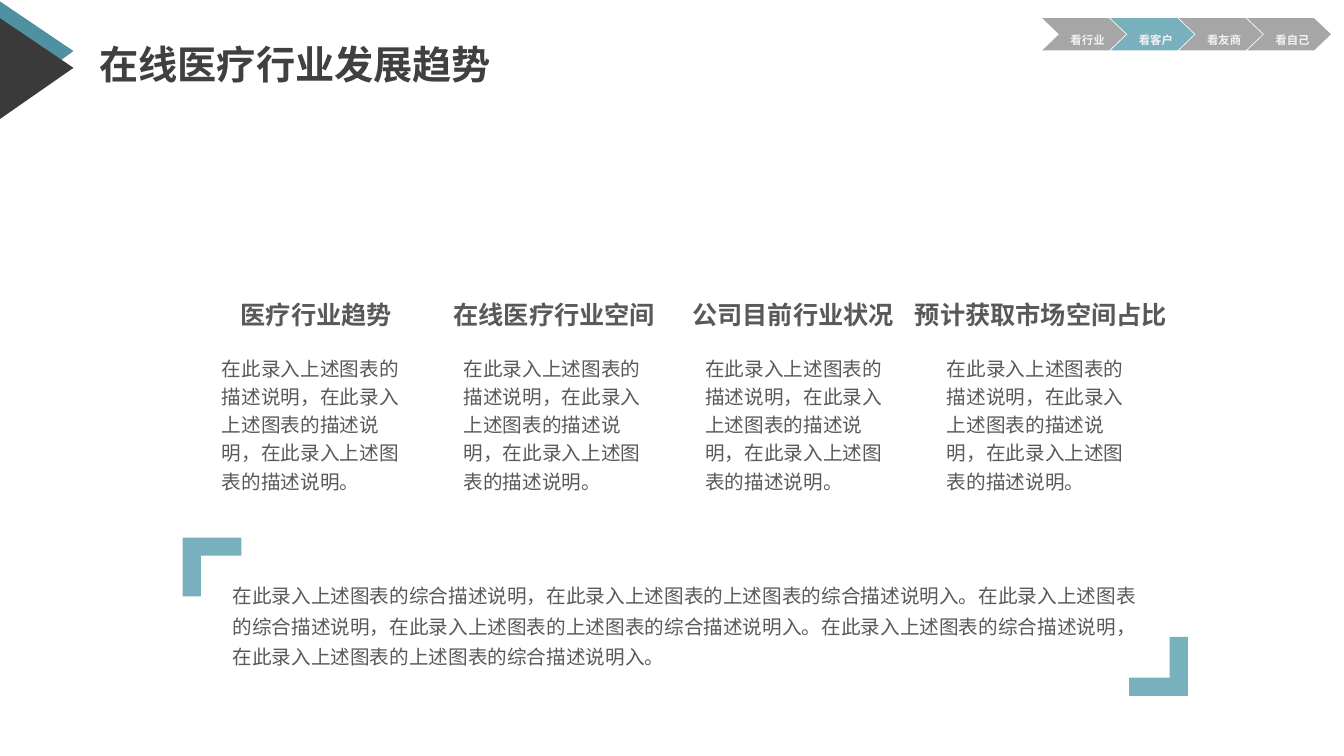
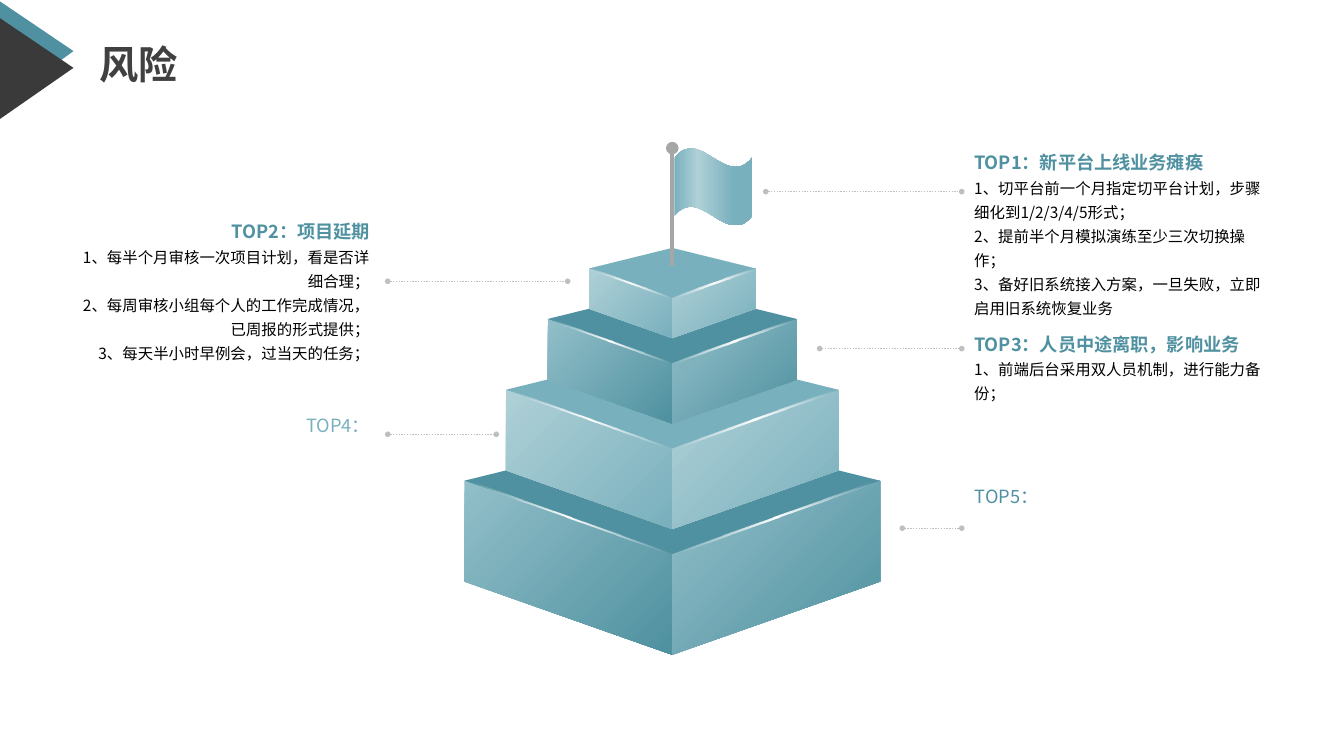
from lxml.etree import SubElement
from pptx import Presentation
from pptx.dml.color import RGBColor
from pptx.enum.dml import MSO_LINE
from pptx.enum.shapes import MSO_CONNECTOR, MSO_SHAPE
from pptx.enum.text import MSO_ANCHOR, PP_ALIGN
from pptx.oxml import parse_xml
from pptx.oxml.ns import nsdecls, qn
from pptx.util import Pt

TEAL = RGBColor(0x79, 0xB0, 0xBD)
TEAL_DARK = RGBColor(0x4F, 0x91, 0xA0)
TEAL_PALE = RGBColor(0xAF, 0xD0, 0xD7)
TEAL_SOFT = RGBColor(0x92, 0xBF, 0xC9)
CHARCOAL = RGBColor(0x3A, 0x3A, 0x3A)
TITLE_GRAY = RGBColor(0x40, 0x40, 0x40)
TEXT_GRAY = RGBColor(0x59, 0x59, 0x59)
GRAY = RGBColor(0xA6, 0xA6, 0xA6)
LEADER_GRAY = RGBColor(0xBF, 0xBF, 0xBF)
NEAR_WHITE = RGBColor(0xF2, 0xF2, 0xF2)
WHITE = RGBColor(0xFF, 0xFF, 0xFF)
BLACK = RGBColor(0, 0, 0)

BODY_FONT = "Noto Sans CJK SC"
TITLE_FONT = "Roboto"
NAV_FONT = "Arial"

NAV_LABELS = ("看行业", "看客户", "看友商", "看自己")
# heading, centre of the heading
TREND_COLUMNS = (
    ("医疗行业趋势", 226),
    ("在线医疗行业空间", 396),
    ("公司目前行业状况", 566.5),
    ("预计获取市场空间占比", 743.5),
)
TREND_BODY = "在此录入上述图表的描述说明，在此录入上述图表的描述说明，在此录入上述图表的描述说明。"
SUMMARY = (
    "在此录入上述图表的综合描述说明，在此录入上述图表的上述图表的综合描述说明入。"
    "在此录入上述图表的综合描述说明，在此录入上述图表的上述图表的综合描述说明入。"
    "在此录入上述图表的综合描述说明，在此录入上述图表的上述图表的综合描述说明入。"
)
# left, top, height, alignment, heading, heading colour, actions
RISKS = (
    (686.5, 98.6, 115, PP_ALIGN.LEFT, "TOP1：新平台上线业务瘫痪", TEAL_DARK,
     ("1、切平台前一个月指定切平台计划，步骤细化到1/2/3/4/5形式；",
      "2、提前半个月模拟演练至少三次切换操作；",
      "3、备好旧系统接入方案，一旦失败，立即启用旧系统恢复业务")),
    (46, 148, 115, PP_ALIGN.RIGHT, "TOP2：项目延期", TEAL_DARK,
     ("1、每半个月审核一次项目计划，看是否详细合理；",
      "2、每周审核小组每个人的工作完成情况，已周报的形式提供；",
      "3、每天半小时早例会，过当天的任务；")),
    (686.5, 228.2, 63, PP_ALIGN.LEFT, "TOP3：人员中途离职，影响业务", TEAL_DARK,
     ("1、前端后台采用双人员机制，进行能力备份；",)),
    (46, 286, 28, PP_ALIGN.RIGHT, "TOP4：", TEAL, ()),
    (687, 337, 28, PP_ALIGN.LEFT, "TOP5：", TEAL_DARK, ()),
)
# start, end, height on the slide
LEADERS = (
    (277, 405.5, 200.9),
    (277, 354.5, 310.2),
    (644.5, 687, 377.3),
    (585.5, 687, 249),
    (547, 687, 136.9),
)


def style_shape(shape, color):
    shape.shadow.inherit = False
    shape.line.fill.background()
    shape.fill.solid()
    shape.fill.fore_color.rgb = color
    return shape


def add_polygon(slide, points, color):
    corners = [(Pt(x), Pt(y)) for x, y in points]
    builder = slide.shapes.build_freeform(*corners[0], scale=1.0)
    builder.add_line_segments(corners[1:], close=True)
    return style_shape(builder.convert_to_shape(), color)


def fill_gradient(shape, stops, angle=None):
    """Fill with (percent, colour, opacity) stops; radial without an angle."""
    stop_xml = "".join(
        f'<a:gs pos="{position * 1000}"><a:srgbClr val="{color}">'
        f'<a:alpha val="{opacity * 1000}"/></a:srgbClr></a:gs>'
        for position, color, opacity in stops
    )
    if angle is None:
        direction = ('<a:path path="circle"><a:fillToRect l="50000" t="50000" '
                     'r="50000" b="50000"/></a:path>')
    else:
        direction = f'<a:lin ang="{angle * 60000}" scaled="0"/>'
    gradient = parse_xml(
        f'<a:gradFill {nsdecls("a")} rotWithShape="1">'
        f'<a:gsLst>{stop_xml}</a:gsLst>{direction}</a:gradFill>'
    )
    properties = shape.fill._xPr
    properties.replace(properties.find(qn("a:solidFill")), gradient)


def add_text_box(slide, left, top, width, height, align=PP_ALIGN.LEFT,
                 anchor=MSO_ANCHOR.TOP, margins=(7.2, 3.6)):
    box = slide.shapes.add_textbox(Pt(left), Pt(top), Pt(width), Pt(height))
    frame = box.text_frame
    frame.word_wrap = True
    frame.vertical_anchor = anchor
    frame.margin_left = frame.margin_right = Pt(margins[0])
    frame.margin_top = frame.margin_bottom = Pt(margins[1])
    frame.paragraphs[0].alignment = align
    return frame


def add_run(paragraph, text, size, color, spacing, bold=False, font=BODY_FONT):
    """Add a run; punctuation stays inside the margin of its paragraph."""
    paragraph.line_spacing = spacing
    paragraph._p.get_or_add_pPr().set("hangingPunct", "0")
    run = paragraph.add_run()
    run.text = text
    run.font.size = Pt(size)
    run.font.bold = bold
    run.font.name = font
    run.font.color.rgb = color
    properties = run._r.get_or_add_rPr()
    SubElement(properties, qn("a:ea")).set("typeface", BODY_FONT)
    return run


def add_line(slide, start, end, color, width, ends, end_size="med", dash=None):
    line = slide.shapes.add_connector(
        MSO_CONNECTOR.STRAIGHT, *(Pt(value) for value in (*start, *end)))
    line.line.color.rgb = color
    line.line.width = Pt(width)
    if dash is not None:
        line.line.dash_style = dash
    outline = line.line._get_or_add_ln()
    for end_name in ends:
        marker = SubElement(outline, qn(f"a:{end_name}"))
        for name, value in (("type", "oval"), ("w", end_size), ("len", end_size)):
            marker.set(name, value)
    SubElement(line._element.spPr, qn("a:effectLst"))


def add_titled_slide(presentation, title):
    slide = presentation.slides.add_slide(presentation.slide_layouts[6])
    add_polygon(slide, ((0, 1), (52.5, 36.5), (0, 75)), TEAL_DARK)
    add_polygon(slide, ((0, 13), (52.5, 48.5), (0, 85)), CHARCOAL)
    frame = add_text_box(slide, 64, 24.5, 450, 47, anchor=MSO_ANCHOR.MIDDLE)
    add_run(frame.paragraphs[0], title, 28, TITLE_GRAY, 0.9, True, TITLE_FONT)
    return slide


def add_navigation(slide, left, top, active):
    width, height, point, pitch = 59.8, 23, 12, 48.8
    for index, label in enumerate(NAV_LABELS):
        x = left + index * pitch
        chevron = slide.shapes.add_shape(
            MSO_SHAPE.CHEVRON, Pt(x), Pt(top), Pt(width), Pt(height))
        chevron.adjustments[0] = point / height
        style_shape(chevron, TEAL if label == active else GRAY)
        frame = add_text_box(slide, x + 6.4, top + 1.4, 52, 20,
                             PP_ALIGN.CENTER, MSO_ANCHOR.MIDDLE)
        run = add_run(frame.paragraphs[0], label, 14, NEAR_WHITE, Pt(20.2), True, NAV_FONT)
        run._r.get_or_add_rPr().set("baseline", "-3000")


def add_trend_column(slide, left, top, width, heading, heading_center):
    heading_width = 210
    frame = add_text_box(slide, heading_center - heading_width / 2, top,
                         heading_width, 29, PP_ALIGN.CENTER)
    add_run(frame.paragraphs[0], heading, 18, TEXT_GRAY, Pt(22), True)
    frame = add_text_box(slide, left, top + 37.5, width, 109)
    add_run(frame.paragraphs[0], TREND_BODY, 14, TEXT_GRAY, Pt(20.2))


def add_bracket(slide, x, y, direction):
    """Draw an L-shaped corner; direction -1 turns it half round."""
    arm, thickness = 42, 13
    outline = ((0, 0), (arm, 0), (arm, thickness), (thickness, thickness),
               (thickness, arm), (0, arm))
    add_polygon(slide, [(x + direction * dx, y + direction * dy) for dx, dy in outline], TEAL)


def add_summary(slide, left, top, width, height):
    add_bracket(slide, left, top, 1)
    add_bracket(slide, left + width, top + height, -1)
    frame = add_text_box(slide, left + 28.5, top + 24.5, 670, 73)
    add_run(frame.paragraphs[0], SUMMARY, 14, TEXT_GRAY, Pt(21.9))


def add_tier(slide, center, top, scale, roof_color, light_color):
    half, side_drop, front_drop, wall = (
        value * scale for value in (148.5, 36.7, 89, 72))
    side, front = top + side_drop, top + front_drop
    for direction in (-1, 1):
        edge = center + direction * half
        face = add_polygon(slide, ((center, front + wall), (edge, side + wall),
                                   (edge, side), (center, front)), roof_color)
        fill_gradient(face, ((0, light_color, 100), (100, roof_color, 100)), 45)
    add_polygon(slide, ((center, top), (center - half, side),
                        (center, front), (center + half, side)), roof_color)
    thickness = 1.4
    for direction in (1, -1):
        middle = center + direction * half / 2
        shine = slide.shapes.add_shape(
            MSO_SHAPE.ROUNDED_RECTANGLE, Pt(middle - half / 2),
            Pt((side + front - thickness) / 2), Pt(half), Pt(thickness))
        shine.adjustments[0] = 0.5
        shine.rotation = -direction * 19.6
        style_shape(shine, WHITE)
        fill_gradient(shine, ((0, WHITE, 100), (100, WHITE, 0)))


def add_pyramid(slide, center, top):
    """Stack the tiers from the widest, whose roof starts at top."""
    for index, scale in enumerate((1, 0.8, 0.6, 0.4)):
        if index:
            top -= 72 * scale
        colors = (TEAL, TEAL_PALE) if index % 2 else (TEAL_DARK, TEAL_SOFT)
        add_tier(slide, center, top, scale, *colors)


def add_flag(slide, left, top):
    size = 55.5
    flag = slide.shapes.add_shape(
        MSO_SHAPE.WAVE, Pt(left + 1.5), Pt(top), Pt(size), Pt(size))
    style_shape(flag, TEAL)
    fill_gradient(flag, ((0, TEAL, 100), (30, TEAL_PALE, 100), (77, TEAL, 100)), 0)
    add_line(slide, (left, top + 84), (left, top), GRAY, 3, ("tailEnd",))


def add_risk(slide, left, top, height, align, heading, color, actions):
    frame = add_text_box(slide, left, top, 227.5, height, align, margins=(9.4, 5))
    add_run(frame.paragraphs[0], heading, 13, color, Pt(20.3), bool(actions))
    for action in actions:
        paragraph = frame.add_paragraph()
        paragraph.alignment = align
        add_run(paragraph, action, 11, BLACK, Pt(17.2))


def build_trend_slide(presentation):
    slide = add_titled_slide(presentation, "在线医疗行业发展趋势")
    for index, (heading, center) in enumerate(TREND_COLUMNS):
        add_trend_column(slide, 151.5 + index * 172.6, 210.2, 147, heading, center)
    add_summary(slide, 130.5, 384, 718, 113)
    add_navigation(slide, 744.5, 13, "看客户")


def build_risk_slide(presentation):
    slide = add_titled_slide(presentation, "风险")
    add_pyramid(slide, 480.2, 306.7)
    for risk in RISKS:
        add_risk(slide, *risk)
    for start, end, y in LEADERS:
        add_line(slide, (start, y), (end, y), LEADER_GRAY, 1,
                 ("headEnd", "tailEnd"), "sm", MSO_LINE.ROUND_DOT)
    add_flag(slide, 480.2, 105.8)


def main():
    presentation = Presentation()
    presentation.slide_width = Pt(960)
    presentation.slide_height = Pt(540)
    build_trend_slide(presentation)
    build_risk_slide(presentation)
    presentation.save("out.pptx")


if __name__ == "__main__":
    main()
